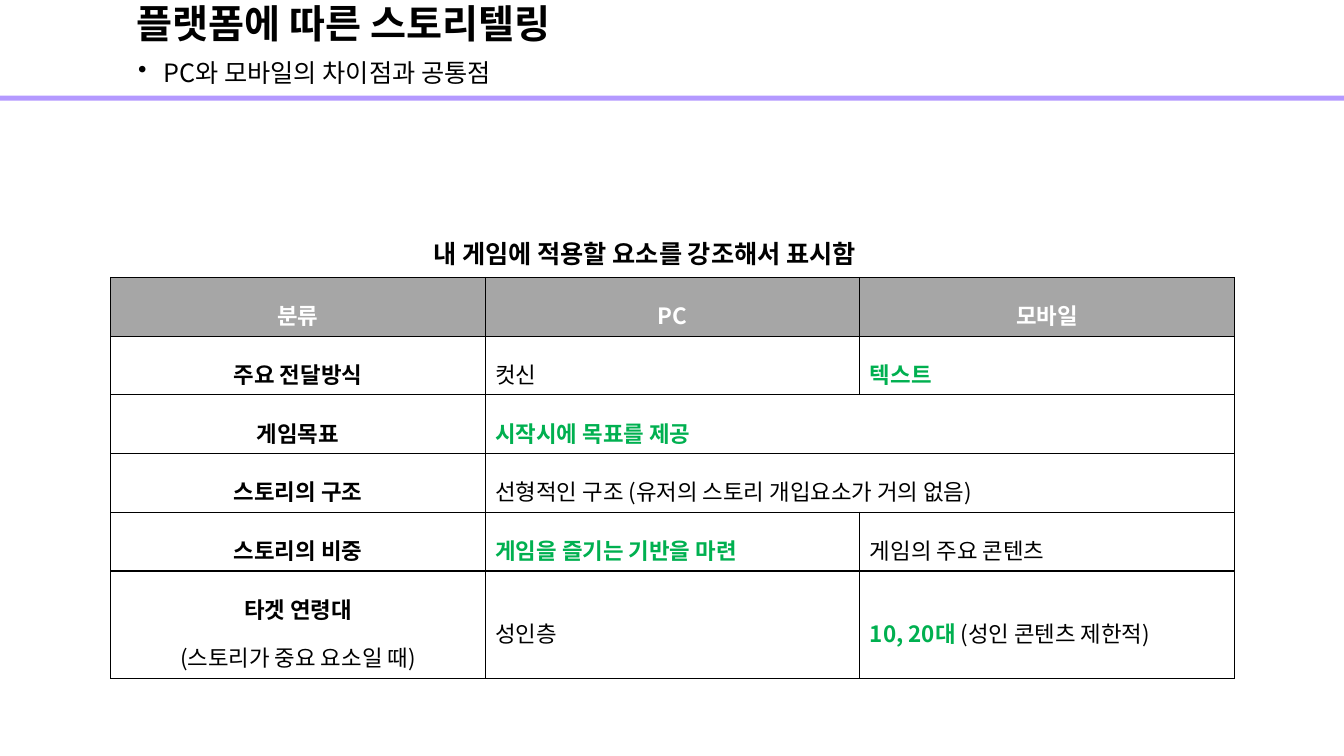
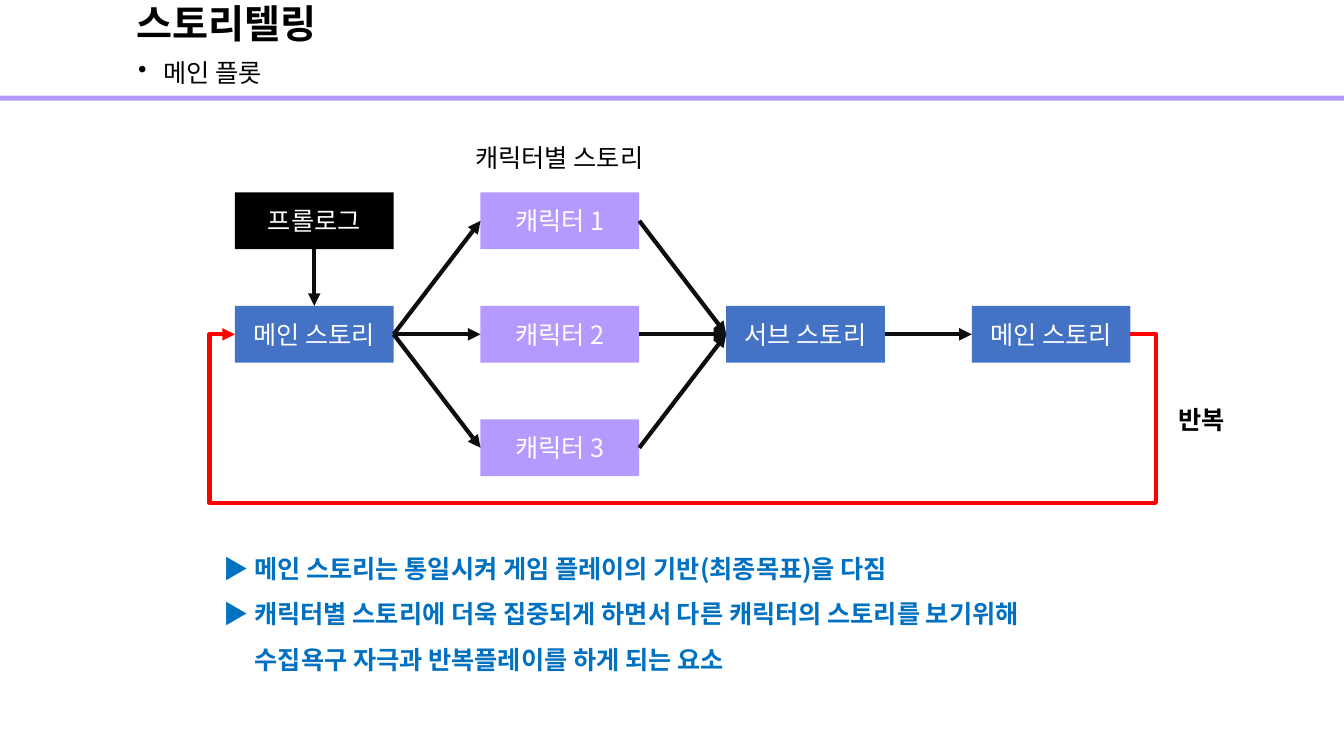
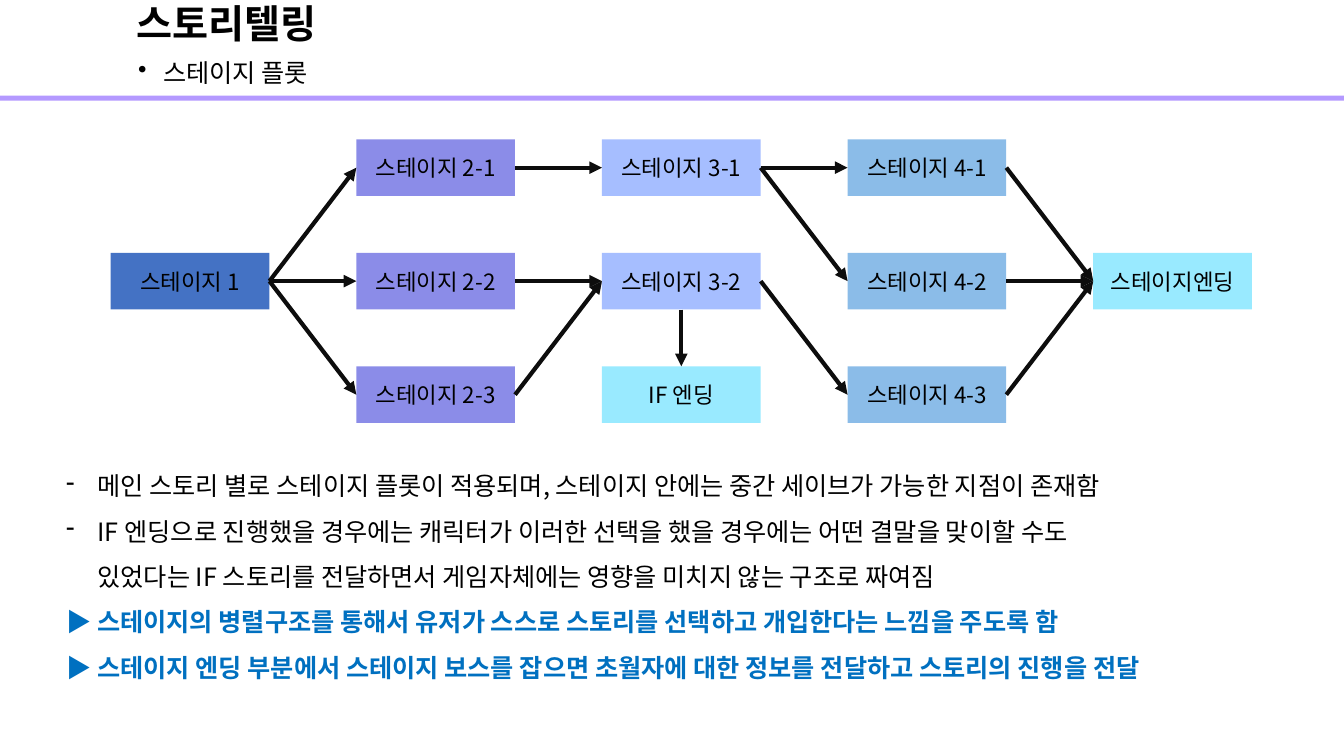
from dataclasses import dataclass
from typing import NamedTuple

from lxml.etree import SubElement
from pptx import Presentation
from pptx.dml.color import RGBColor
from pptx.enum.shapes import MSO_CONNECTOR, MSO_SHAPE
from pptx.enum.text import MSO_ANCHOR, PP_ALIGN
from pptx.oxml.ns import qn
from pptx.util import Cm, Pt


@dataclass(frozen=True)
class Theme:
    font: str = "Noto Sans CJK KR"
    head: int = 28
    body: int = 18
    small: int = 16
    black: str = "000000"
    white: str = "FFFFFF"
    ink: str = "0D0D0D"
    gray: str = "A6A6A6"
    green: str = "00B050"
    red: str = "FF0000"
    note: str = "0070C0"
    blue: str = "4472C4"
    lilac: str = "B499FF"
    violet: str = "8B8CE8"
    pale: str = "A6BEFF"
    sky: str = "8BBCE8"
    aqua: str = "99EAFF"


T = Theme()
WIDE, HIGH = 33.87, 19.05
HANG = 0.79


@dataclass(frozen=True)
class Para:
    """One paragraph; lead is a bold green run ahead of the text."""
    text: str
    size: int = T.body
    color: str = T.black
    bold: bool = False
    align: PP_ALIGN = PP_ALIGN.LEFT
    line: float = 1.0
    bullet: str = ""
    left: float = 0
    first: float = 0
    lead: str = ""


class Area(NamedTuple):
    x: float
    y: float
    w: float
    h: float


class Node(NamedTuple):
    text: str
    col: int
    row: int
    fill: str


class Grid(NamedTuple):
    x: float
    y: float
    dx: float = 6.19
    dy: float = 2.86
    w: float = 4.0
    h: float = 1.43

    def area(self, col: int, row: int) -> Area:
        return Area(self.x + col * self.dx, self.y + row * self.dy, self.w, self.h)


def rgb(color: str) -> RGBColor:
    return RGBColor.from_string(color)


def write(frame, paras: list[Para]) -> None:
    for i, para in enumerate(paras):
        p = frame.paragraphs[0] if i == 0 else frame.add_paragraph()
        p.alignment, p.line_spacing = para.align, para.line
        props = p._p.get_or_add_pPr()
        props.set("marL", str(Cm(para.left)))
        props.set("indent", str(Cm(para.first)))
        if para.bullet:
            SubElement(props, qn("a:buChar")).set("char", para.bullet)
        font = p.font
        font.size, font.bold, font.name = Pt(para.size), para.bold, T.font
        font.color.rgb = rgb(para.color)
        east = SubElement(props.find(qn("a:defRPr")), qn("a:ea"))
        east.set("typeface", T.font)
        if para.lead:
            run = p.add_run()
            run.text, run.font.bold = para.lead, True
            run.font.color.rgb = rgb(T.green)
        p.add_run().text = para.text


def add_text(slide, area: Area, paras: list[Para], anchor=MSO_ANCHOR.TOP) -> None:
    frame = slide.shapes.add_textbox(*map(Cm, area)).text_frame
    frame.word_wrap, frame.vertical_anchor = True, anchor
    write(frame, paras)


def add_box(slide, area: Area, fill: str):
    box = slide.shapes.add_shape(MSO_SHAPE.RECTANGLE, *map(Cm, area))
    box.shadow.inherit = False
    box.fill.solid()
    box.fill.fore_color.rgb = rgb(fill)
    box.line.fill.background()
    return box


def add_arrow(shape, color: str) -> None:
    """Give a line its colour, width and end arrow."""
    shape.line.color.rgb = rgb(color)
    shape.line.width = Pt(3)
    SubElement(shape.line._get_or_add_ln(), qn("a:tailEnd")).set("type", "triangle")


def add_flow(slide, grid: Grid, nodes: list[Node], links, size: int, color: str) -> None:
    """Draw boxes on the grid and join them by (column, row) pairs."""
    boxes = {}
    for node in nodes:
        box = add_box(slide, grid.area(node.col, node.row), node.fill)
        box.text_frame.vertical_anchor = MSO_ANCHOR.MIDDLE
        write(box.text_frame, [Para(node.text, size, color, align=PP_ALIGN.CENTER)])
        boxes[node.col, node.row] = box
    for start, end in links:
        out, into = (2, 0) if start[0] == end[0] else (3, 1)
        link = slide.shapes.add_connector(MSO_CONNECTOR.STRAIGHT, 0, 0, 0, 0)
        link.begin_connect(boxes[start], out)
        link.end_connect(boxes[end], into)
        add_arrow(link, T.ink)
        SubElement(link._element.spPr, qn("a:effectLst"))


def add_loop(slide, start: Area, end: Area, low: float, gap: float = 0.64) -> None:
    """Lead a red line from the right of start, below, to the left of end."""
    right, mid = start.x + start.w, start.y + start.h / 2
    spots = [(right + gap, mid), (right + gap, low), (end.x - gap, low),
             (end.x - gap, mid), (end.x, mid)]
    pen = slide.shapes.build_freeform(Cm(right), Cm(mid))
    pen.add_line_segments([(Cm(x), Cm(y)) for x, y in spots], close=False)
    loop = pen.convert_to_shape()
    loop.shadow.inherit = False
    loop.fill.background()
    add_arrow(loop, T.red)


def add_cell(cell, paras: list[Para], fill: str = "") -> None:
    props = cell._tc.get_or_add_tcPr()
    for side in ("lnL", "lnR", "lnT", "lnB"):
        edge = SubElement(props, qn(f"a:{side}"))
        edge.set("w", str(Pt(1)))
        paint = SubElement(edge, qn("a:solidFill"))
        SubElement(paint, qn("a:srgbClr")).set("val", T.black)
    if fill:
        cell.fill.solid()
        cell.fill.fore_color.rgb = rgb(fill)
    else:
        cell.fill.background()
    cell.vertical_anchor = MSO_ANCHOR.MIDDLE
    write(cell.text_frame, paras)


def add_slide(deck, title: str, topic: str):
    slide = deck.slides.add_slide(deck.slide_layouts[6])
    add_box(slide, Area(0, 2.41, WIDE, 0.13), T.lilac)
    add_text(slide, Area(3.2, 0, 28.32, 1.3),
             [Para(title, T.head, bold=True, line=0.9)], MSO_ANCHOR.MIDDLE)
    add_text(slide, Area(3.23, 1.4, 28.32, 0.94),
             [Para(topic, line=0.9, bullet="•", left=0.64, first=-0.64)])
    return slide


def head(text: str, color: str = T.black, bold: bool = True) -> Para:
    return Para(text, T.small, color, bold, PP_ALIGN.CENTER, 1.5)


def plain(text: str, lead: str = "") -> Para:
    return Para(text, T.small, line=1.5, lead=lead)


def key(text: str) -> Para:
    return Para(text, T.small, T.green, True, line=1.5)


def point(text: str, first: float = 0) -> Para:
    return Para(text, color=T.note, bold=True, line=1.5, first=first)


def dash(text: str) -> Para:
    return Para(text, line=1.5, bullet="-", left=HANG, first=-HANG)


def platform_slide(deck) -> None:
    slide = add_slide(deck, "플랫폼에 따른 스토리텔링", "PC와 모바일의 차이점과 공통점")
    rows = [
        [[head(name, T.white)] for name in ("분류", "PC", "모바일")],
        [[head("주요 전달방식")], [plain("컷신")], [key("텍스트")]],
        [[head("게임목표")], [key("시작시에 목표를 제공")]],
        [[head("스토리의 구조")],
         [plain("선형적인 구조 (유저의 스토리 개입요소가 거의 없음)")]],
        [[head("스토리의 비중")], [key("게임을 즐기는 기반을 마련")],
         [plain("게임의 주요 콘텐츠")]],
        [[head("타겟 연령대"), head("(스토리가 중요 요소일 때)", bold=False)],
         [plain("성인층")], [plain("(성인 콘텐츠 제한적)", lead="10, 20대 ")]],
    ]
    tall = [1.48] * 5 + [2.7]
    area = Area(2.79, 6.99, 28.32, sum(tall))
    table = slide.shapes.add_table(len(rows), 3, *map(Cm, area)).table
    table.first_row = table.horz_banding = False
    for col in table.columns:
        col.width = Cm(area.w / 3)
    for r, row in enumerate(rows):
        table.rows[r].height = Cm(tall[r])
        if len(row) == 2:
            table.cell(r, 1).merge(table.cell(r, 2))
        for c in range(3):
            paras = row[c] if c < len(row) else []
            add_cell(table.cell(r, c), paras, "" if r else T.gray)
    add_text(slide, Area(10.67, 5.87, 12.55, 1.02),
             [Para("내 게임에 적용할 요소를 강조해서 표시함", bold=True)])


def main_slide(deck) -> None:
    slide = add_slide(deck, "스토리텔링", "메인 플롯")
    grid = Grid(5.92, 4.85)
    nodes = [
        Node("프롤로그", 0, 0, T.black),
        Node("메인 스토리", 0, 1, T.blue),
        *(Node(f"캐릭터 {row + 1}", 1, row, T.lilac) for row in range(3)),
        Node("서브 스토리", 2, 1, T.blue),
        Node("메인 스토리", 3, 1, T.blue),
    ]
    links = [((0, 0), (0, 1)), ((2, 1), (3, 1))]
    for row in range(3):
        links += [((0, 1), (1, row)), ((1, row), (2, 1))]
    add_flow(slide, grid, nodes, links, T.body, T.white)
    add_loop(slide, grid.area(3, 1), grid.area(0, 1), 12.67)
    add_text(slide, Area(11.48, 3.45, 5.23, 1.02),
             [Para("캐릭터별 스토리", align=PP_ALIGN.CENTER)])
    add_text(slide, Area(29.44, 10.06, 1.8, 1.02), [Para("반복", bold=True)])
    add_text(slide, Area(5.38, 13.44, 23.06, 3.58), [
        point("▶ 메인 스토리는 통일시켜 게임 플레이의 기반(최종목표)을 다짐"),
        point("▶ 캐릭터별 스토리에 더욱 집중되게 하면서 다른 캐릭터의 스토리를 보기위해"),
        point("수집욕구 자극과 반복플레이를 하게 되는 요소", HANG),
    ])


def stage_slide(deck) -> None:
    slide = add_slide(deck, "스토리텔링", "스테이지 플롯")
    nodes = [Node("스테이지 1", 0, 1, T.blue)]
    for col, count, fill in ((1, 3, T.violet), (2, 2, T.pale), (3, 3, T.sky)):
        nodes += [Node(f"스테이지 {col + 1}-{row + 1}", col, row, fill)
                  for row in range(count)]
    nodes += [Node("IF 엔딩", 2, 2, T.aqua), Node("스테이지엔딩", 4, 1, T.aqua)]
    links = [
        ((1, 0), (2, 0)), ((1, 1), (2, 1)), ((1, 2), (2, 1)),
        ((2, 0), (3, 0)), ((2, 0), (3, 1)), ((2, 1), (3, 2)),
        ((2, 1), (2, 2)),
    ]
    for row in range(3):
        links += [((0, 1), (1, row)), ((3, row), (4, 1))]
    add_flow(slide, Grid(2.79, 3.51), nodes, links, T.small, T.black)
    add_text(slide, Area(1.42, 11.35, 31.04, 6.02), [
        dash("메인 스토리 별로 스테이지 플롯이 적용되며, "
             "스테이지 안에는 중간 세이브가 가능한 지점이 존재함"),
        dash("IF 엔딩으로 진행했을 경우에는 캐릭터가 이러한 선택을 했을 경우에는 "
             "어떤 결말을 맞이할 수도"),
        Para("있었다는 IF 스토리를 전달하면서 게임자체에는 영향을 미치지 않는 구조로 짜여짐",
             line=1.5, first=HANG),
        point("▶ 스테이지의 병렬구조를 통해서 유저가 스스로 스토리를 선택하고 "
              "개입한다는 느낌을 주도록 함"),
        point("▶ 스테이지 엔딩 부분에서 스테이지 보스를 잡으면 초월자에 대한 정보를 "
              "전달하고 스토리의 진행을 전달"),
    ])


def main() -> None:
    deck = Presentation()
    deck.slide_width, deck.slide_height = Cm(WIDE), Cm(HIGH)
    platform_slide(deck)
    main_slide(deck)
    stage_slide(deck)
    deck.save("out.pptx")


if __name__ == "__main__":
    main()
